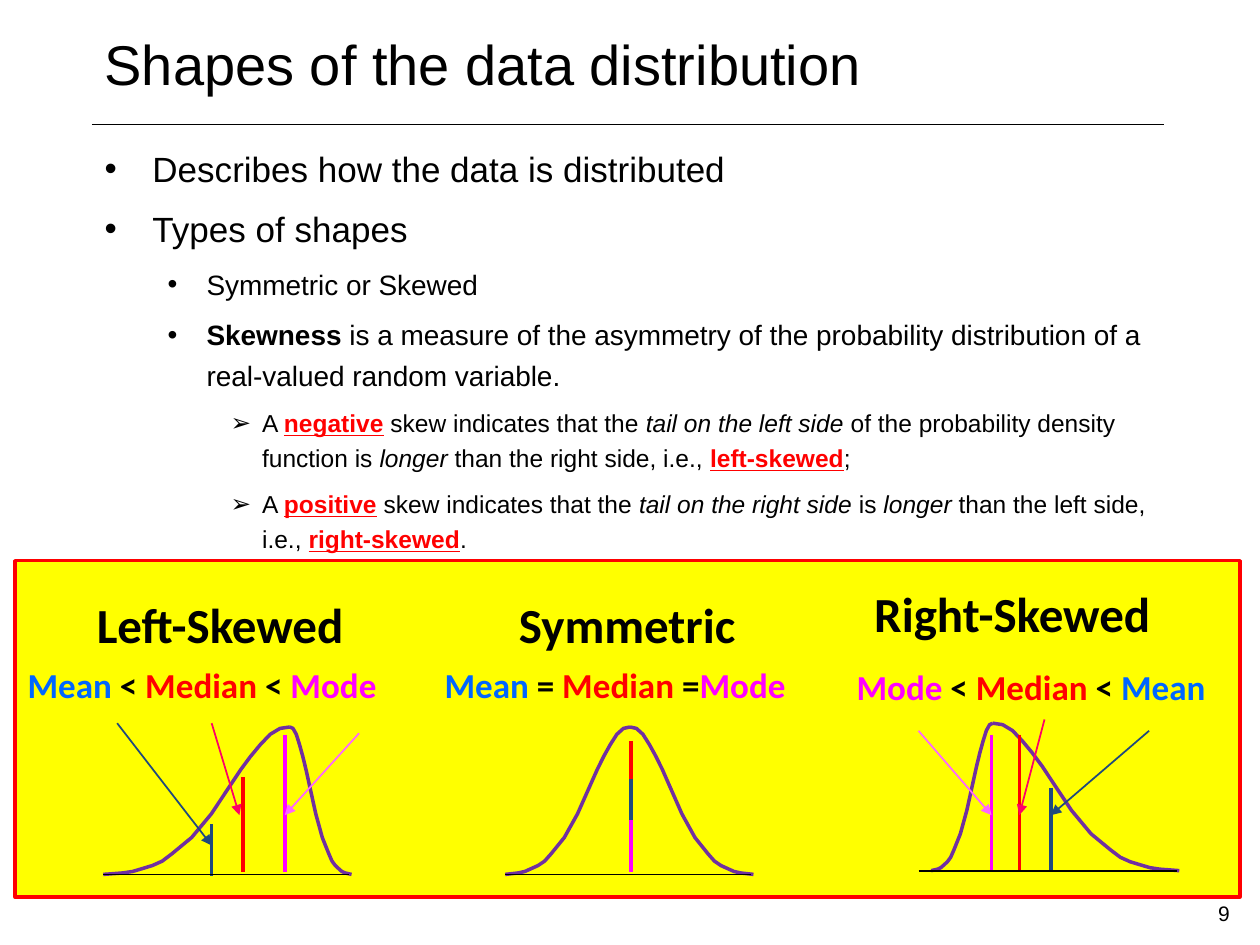
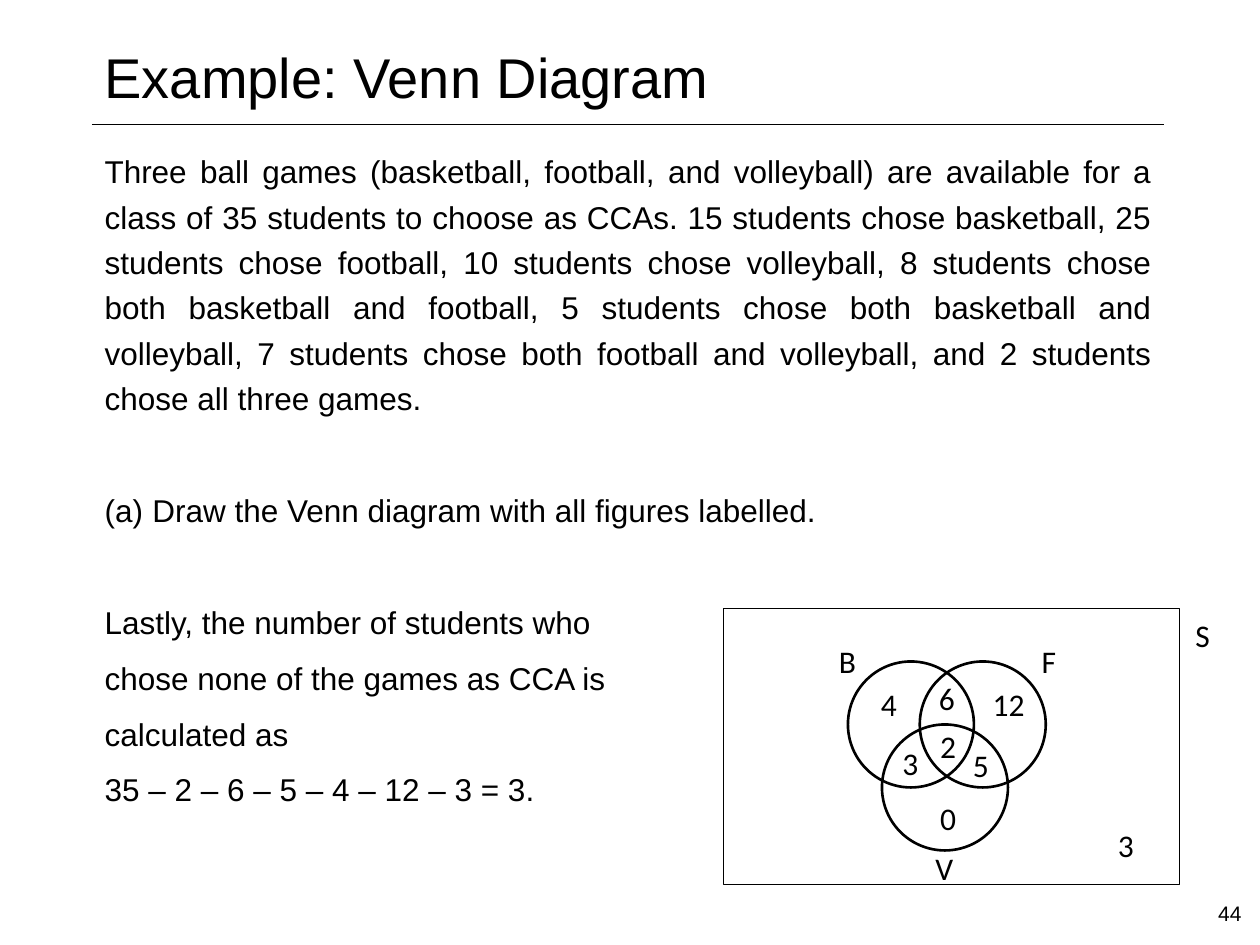
import pptx
import pptx.util
import pptx.dml.color
import pptx.enum.shapes
import pptx.enum.text
import pptx.oxml
import pptx.oxml.ns

Inches, Pt = pptx.util.Inches, pptx.util.Pt
SHAPE = pptx.enum.shapes.MSO_SHAPE
ALIGN = pptx.enum.text.PP_ALIGN
ANCHOR = pptx.enum.text.MSO_ANCHOR
FIT = pptx.enum.text.MSO_AUTO_SIZE

# Shared colours and fonts
BLACK, RED, YELLOW = "000000", "FF0000", "FFFF00"
BLUE, PINK, NAVY, PLUM = "0066FF", "FF00FF", "1F497D", "7030A0"
ROSE, LILAC = "FF0066", "FF66FF"
SANS, LABEL = "Arial", "Calibri"

# Half of a bell curve: share of the width, share of the height
STEPS = (0, 2, 3, 4, 5, 6, 7, 9, 11, 13, 14, 15, 16, 17, 18, 19)
RISE = (0, .01, .02, .04, .06, .09, .14, .25, .41, .61, .71, .8, .88, .95, .99, 1)
HALF = [(step / 19, rise) for step, rise in zip(STEPS, RISE)]
TALL, WIDE = 1.17, 1.97


def rgb(code):
    return pptx.dml.color.RGBColor.from_string(code)


def style(font, size, name=SANS, color=BLACK, bold=None):
    font.size, font.name, font.bold = Pt(size), name, bold
    font.color.rgb = rgb(color)


def place(item, left, top, width, height):
    item.left, item.top = Inches(left), Inches(top)
    item.width, item.height = Inches(width), Inches(height)


def node(parent, tag, **attrs):
    child = pptx.oxml.parse_xml(f"<a:{tag} {pptx.oxml.ns.nsdecls('a')}/>")
    for key, value in attrs.items():
        child.set(key, value)
    parent.append(child)


# Basic marks
def paint(item, color, weight, fill=None):
    item.shadow.inherit = False
    item.line.color.rgb, item.line.width = rgb(color), Pt(weight)
    if fill:
        item.fill.solid()
        item.fill.fore_color.rgb = rgb(fill)
    else:
        item.fill.background()


def shape(slide, kind, left, top, width, height, color, weight, fill=None):
    item = slide.shapes.add_shape(
        kind, Inches(left), Inches(top), Inches(width), Inches(height))
    paint(item, color, weight, fill)


def line(slide, start, end, color, weight, arrow=False):
    item = slide.shapes.add_connector(
        pptx.enum.shapes.MSO_CONNECTOR.STRAIGHT,
        *(Inches(value) for value in (*start, *end)))
    item.line.color.rgb, item.line.width = rgb(color), Pt(weight)
    if arrow:
        node(item.line._get_or_add_ln(), "tailEnd", type="triangle")
    node(item._element.spPr, "effectLst")


def label(slide, left, top, width, height, runs, size,
          name=LABEL, bold=None, align=ALIGN.LEFT, wrap=False):
    """Write one line of text; runs are pairs of text and colour."""
    box = slide.shapes.add_textbox(
        Inches(left), Inches(top), Inches(width), Inches(height))
    box.text_frame.word_wrap = wrap
    para = box.text_frame.paragraphs[0]
    para.alignment = align
    style(para.font, size, name, bold=bold)
    for text, color in runs:
        run = para.add_run()
        run.text = text
        run.font.color.rgb = rgb(color)


# Title, rule and page number on every slide
def frame(deck, title, width, page, spacing):
    slide = deck.slides.add_slide(deck.slide_layouts[1])
    line(slide, (0.73, 0.99), (9.24, 0.99), BLACK, 0.25)
    head = slide.shapes.title
    place(head, 0.73, 0.29, width, 0.66)
    text = head.text_frame
    text.text = title
    text.auto_size, text.vertical_anchor = FIT.NONE, ANCHOR.TOP
    para = text.paragraphs[0]
    para.alignment, para.line_spacing = ALIGN.LEFT, spacing
    style(para.font, 32)
    label(slide, 9.57, 7.1, 0.43, 0.4, [(page, BLACK)], 12, SANS)
    return slide


# Body text: rows are (level, size, bullet, before, alignment, runs)
INDENT = ((0.38, -0.38), (0.81, -0.31), (1.25, -0.25))


def mark(para, level, bullet):
    props = para._p.get_or_add_pPr()
    margin, hang = INDENT[level] if bullet else (0, 0)
    props.set("marL", str(Inches(margin)))
    props.set("indent", str(Inches(hang)))
    if not bullet:
        node(props, "buNone")
    elif bullet == "(a)":
        node(props, "buFont", typeface="+mj-lt")
        node(props, "buAutoNum", type="alphaLcParenBoth")
    else:
        node(props, "buFont", typeface=SANS)
        node(props, "buChar", char=bullet)


def body(slide, box, rows):
    holder = slide.placeholders[1]
    place(holder, *box)
    text = holder.text_frame
    text.auto_size, text.vertical_anchor = FIT.NONE, ANCHOR.TOP
    for index, (level, size, bullet, before, align, runs) in enumerate(rows):
        para = text.add_paragraph() if index else text.paragraphs[0]
        para.level = level
        mark(para, level, bullet)
        para.alignment, para.line_spacing = align, 1.2
        para.space_before = Pt(before)
        style(para.font, size)
        for words, look in runs:
            run = para.add_run()
            run.text = words
            if look in ("bold", "key"):
                run.font.bold = True
            if look == "italic":
                run.font.italic = True
            if look == "key":
                run.font.underline = True
                run.font.color.rgb = rgb(RED)


# One curve panel; all places are relative to the curve's top left corner
def curve(slide, left, top, peak):
    for foot in (WIDE, 0):
        points = [(Inches(left + foot + (peak - foot) * across),
                   Inches(top + TALL * (1 - up))) for across, up in HALF]
        pen = slide.shapes.build_freeform(*points[0])
        pen.add_line_segments(points[1:], close=False)
        paint(pen.convert_to_shape(), PLUM, 2)


def panel(slide, left, top, peak, head, words, axis, bars, arrows):
    curve(slide, left, top, peak)
    name, across, down, width = head
    label(slide, left + across, top + down, width, 0.57,
          [(name, BLACK)], 28, bold=True)
    runs, across, down, width = words
    label(slide, left + across, top + down, width, 0.43, runs, 20, bold=True)
    for across, high, low, color in bars:
        line(slide, (left + across, top + high), (left + across, top + low),
             color, 2)
    line(slide, (left + axis, top + TALL), (left + 1.95, top + TALL), BLACK, 1)
    for x1, y1, x2, y2, color in arrows:
        line(slide, (left + x1, top + y1), (left + x2, top + y2),
             color, 1, True)


def shapes_slide(deck):
    slide = frame(deck, "Shapes of the data distribution", 6.79, "9", 0.8)
    shape(slide, SHAPE.RECTANGLE, 0.12, 4.45, 9.72, 2.67, RED, 2, YELLOW)
    rows = [
        (0, 20, "•", [("Describes how the data is distributed", "")]),
        (0, 20, "•", [("Types of shapes", "")]),
        (1, 16, "•", [("Symmetric or Skewed", "")]),
        (1, 16, "•", [
            ("Skewness ", "bold"),
            ("is a measure of the asymmetry of the probability distribution "
             "of a real-valued random variable.", "")]),
        (2, 14, "➢", [
            ("A ", ""), ("negative", "key"),
            (" skew indicates that the ", ""),
            ("tail on the left side ", "italic"),
            ("of the probability density function is ", ""),
            ("longer", "italic"), (" than the right side, i.e., ", ""),
            ("left-skewed", "key"), (";", "")]),
        (2, 14, "➢", [
            ("A ", ""), ("positive", "key"),
            (" skew indicates that the ", ""),
            ("tail on the right side ", "italic"), ("is", ""),
            (" longer ", "italic"), ("than the left side, i.e., ", ""),
            ("right-skewed", "key"), (".", "")]),
    ]
    body(slide, (0.73, 1.05, 8.51, 2.87),
         [(level, size, bullet, 6, ALIGN.LEFT, runs)
          for level, size, bullet, runs in rows])

    panel(slide, 0.82, 5.77, 1.48,
          ("Left-Skewed", -0.15, -1.1, 2.2),
          ([("Mean ", BLUE), ("<", BLACK), (" Median ", RED), ("<", BLACK),
            (" Mode", PINK)], -0.7, -0.55, 2.99),
          0,
          [(1.44, 0.06, 1.15, PINK), (1.11, 0.4, 1.15, RED),
           (0.86, 0.77, 1.18, NAVY)],
          [(2.03, 0.05, 1.44, 0.7, LILAC), (0.86, -0.03, 1.08, 0.7, ROSE),
           (0.11, -0.03, 0.86, 0.94, NAVY)])
    panel(slide, 4.01, 5.77, 0.99,
          ("Symmetric", 0.01, -1.1, 1.94),
          ([("Mean ", BLUE), ("=", BLACK), (" Median", RED), (" =", BLACK),
            ("Mode", PINK)], -0.58, -0.55, 2.93),
          0,
          [(1, 0.11, 1.07, RED), (1, 0.41, 0.98, NAVY), (1, 0.74, 1.15, PINK)],
          [])
    panel(slide, 7.39, 5.74, 0.49,
          ("Right-Skewed", -0.55, -1.16, 2.43),
          ([("Mode ", PINK), ("<", BLACK), (" Median ", RED), ("< ", BLACK),
            ("Mean", BLUE)], -0.69, -0.51, 3),
          -0.1,
          [(0.48, 0.09, 1.18, PINK), (0.7, 0.09, 1.18, RED),
           (0.95, 0.51, 1.18, NAVY)],
          [(-0.1, 0.06, 0.48, 0.73, LILAC), (0.9, -0.03, 0.7, 0.73, ROSE),
           (1.73, 0.06, 0.95, 0.73, NAVY)])


# Venn diagram; circles and labels are relative to the outer box
CIRCLES = ((1.56, 0.42), (0.99, 0.42), (1.26, 0.92))
COUNTS = (
    ("B", 0.66, 0.22), ("F", 2.26, 0.22), ("V", 1.43, 1.86), ("S", 3.48, 0.01),
    ("2", 1.46, 0.89), ("6", 1.45, 0.51), ("3", 1.16, 1.03), ("5", 1.72, 1.04),
    ("4", 0.99, 0.56), ("12", 1.94, 0.56), ("0", 1.46, 1.46), ("3", 2.87, 1.68))


def venn(slide, left, top, width, height):
    shape(slide, SHAPE.RECTANGLE, left, top, width, height, BLACK, 0.75)
    for across, down in CIRCLES:
        shape(slide, SHAPE.OVAL, left + across, top + down, 1, 1, BLACK, 1.5)
    for text, across, down in COUNTS:
        label(slide, left + across, top + down, 0.65, 0.4, [(text, BLACK)],
              18, align=ALIGN.CENTER, wrap=True)


def venn_slide(deck):
    slide = frame(deck, "Example: Venn Diagram", 8.05, "44", 1)
    rows = [
        ("", 6, ALIGN.JUSTIFY,
         "Three ball games (basketball, football, and volleyball) are "
         "available for a class of 35 students to choose as CCAs. 15 students "
         "chose basketball, 25 students chose football, 10 students chose "
         "volleyball, 8 students chose both basketball and football, 5 "
         "students chose both basketball and volleyball, 7 students chose "
         "both football and volleyball, and 2 students chose all three games."),
        ("(a)", 38, ALIGN.LEFT,
         "Draw the Venn diagram with all figures labelled."),
        ("", 38, ALIGN.LEFT, "Lastly, the number of students who"),
        ("", 6, ALIGN.LEFT, "chose none of the games as CCA is"),
        ("", 6, ALIGN.LEFT, "calculated as"),
        ("", 6, ALIGN.LEFT, "35 – 2 – 6 – 5 – 4 – 12 – 3 = 3."),
    ]
    body(slide, (0.73, 1.1, 8.51, 6.26),
         [(0, 18, bullet, before, align, [(text, "")])
          for bullet, before, align, text in rows])
    venn(slide, 5.74, 4.83, 3.62, 2.19)


def main():
    deck = pptx.Presentation()
    deck.slide_width, deck.slide_height = Inches(10), Inches(7.5)
    shapes_slide(deck)
    venn_slide(deck)
    deck.save("out.pptx")


if __name__ == "__main__":
    main()
